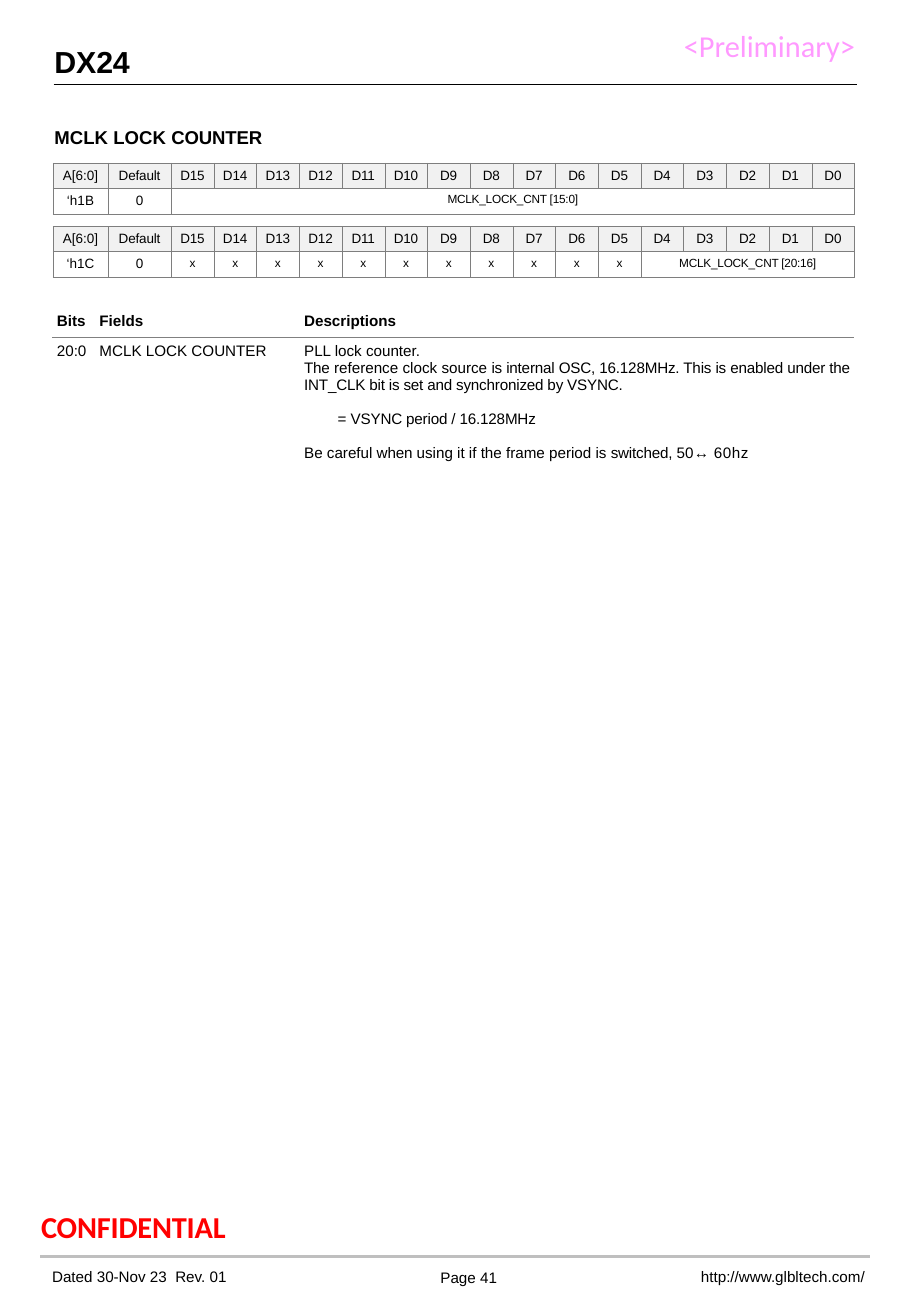
from dataclasses import dataclass
from typing import NamedTuple

from lxml import etree
from pptx import Presentation
from pptx.dml.color import RGBColor
from pptx.enum.shapes import MSO_CONNECTOR
from pptx.enum.text import MSO_ANCHOR, PP_ALIGN
from pptx.oxml.ns import qn
from pptx.util import Cm, Pt

LEFT, CENTER, JUSTIFY = PP_ALIGN.LEFT, PP_ALIGN.CENTER, PP_ALIGN.JUSTIFY
TOP, MIDDLE = MSO_ANCHOR.TOP, MSO_ANCHOR.MIDDLE
STRAIGHT = MSO_CONNECTOR.STRAIGHT


@dataclass(frozen=True)
class Theme:
    sans: str = "Arial"
    stamp: str = "Calibri"
    ink: str = "000000"
    pink: str = "FF99FF"
    red: str = "FF0000"
    head: str = "F1F1F1"
    grid: str = "7E7E7E"
    rule: str = "808080"
    foot: str = "BFBFBF"
    title: float = 18
    topic: float = 11
    body: float = 9
    cell: float = 8
    small: float = 7


THEME = Theme()


class Run(NamedTuple):
    text: str
    track: float = 0


class Para(NamedTuple):
    runs: tuple[Run, ...]
    gap: float = 0
    indent: float = 0


class Label(NamedTuple):
    runs: tuple[Run, ...]
    box: tuple[float, float, float, float]
    size: float = THEME.body
    font: str = THEME.sans
    color: str = THEME.ink
    bold: bool = False
    align: PP_ALIGN = LEFT
    anchor: MSO_ANCHOR = TOP
    pad: tuple[float, float, float, float] = (0, 0, 0, 0)


class Rule(NamedTuple):
    left: float
    right: float
    top: float
    color: str
    width: float


class Field(NamedTuple):
    text: str
    span: int = 1


class Bank(NamedTuple):
    top: float
    code: str
    fields: tuple[Field, ...]


FOOT_PAD = (0.25, 0.13, 0.25, 0.13)
LABELS = (
    Label((Run("DX24", -0.1),), (1.12, 0.84, 2.5, 0.84), size=THEME.title, bold=True, pad=(0.02, 0.07, 0, 0)),
    Label((Run("MCLK LOCK "), Run("COUNTER", -0.1)), (1.12, 2.57, 16.76, 0.51),
          size=THEME.topic, bold=True, pad=(0.02, 0.06, 0, 0)),
    Label((Run("CONFIDENTIAL", -0.1),), (0.84, 25.2, 5.77, 0.81), size=THEME.title,
          font=THEME.stamp, color=THEME.red, bold=True, pad=(0.02, 0.06, 0, 0)),
    Label((Run("http://www.glbltech.com/"),), (14.3, 26.26, 4.14, 0.86),
          align=CENTER, anchor=MIDDLE, pad=FOOT_PAD),
    Label((Run("Page 41"),), (9.19, 26.52, 1.4, 0.38), pad=(0.02, 0, 0, 0)),
    Label((Run("Dated 30-Nov 23"), Run(" ", 2.5), Run("Rev. 01")), (0.84, 26.44, 5.72, 0.48),
          anchor=MIDDLE, pad=FOOT_PAD),
    Label((Run("<Preliminary>"),), (14.3, 0.56, 4.01, 0.76), size=THEME.title,
          font=THEME.stamp, color=THEME.pink),
)
RULES = (
    Rule(1.12, 17.93, 1.77, THEME.ink, 0.5),
    Rule(0.84, 18.19, 26.27, THEME.foot, 2.04),
)
BANKS = (
    Bank(3.41, "‘h1B", (Field("MCLK_LOCK_CNT [15:0]", 16),)),
    Bank(4.73, "‘h1C", (Field("x"),) * 11 + (Field("MCLK_LOCK_CNT [20:16]", 5),)),
)
BITS = 16
NOTES = (
    Para((Run("PLL lock counter."),)),
    Para((Run("The ", -0.1), Run("reference clock source "),
          Run("is internal OSC, 16.128MHz. This is enabled under the INT_CLK bit is set"
              " and synchronized by VSYNC.", -0.1))),
    Para((Run("= "), Run("VSYNC period ", -0.1), Run("/"), Run(" 16.128MHz", -0.1)), 10.2, 0.7),
    Para((Run("Be careful "), Run("when", -0.1), Run(" using it if the frame period is "),
          Run("switched, ", -0.1), Run("50↔", 0.1), Run(" 60hz", 0.3)), 10.2),
)


def write(para, text: str, *, size: float = THEME.body, font: str = THEME.sans,
          color: str = THEME.ink, bold: bool = False, align: PP_ALIGN = LEFT,
          track: float = 0) -> None:
    para.alignment = align
    run = para.add_run()
    run.text = text
    run.font.size = Pt(size)
    run.font.name = font
    run.font.bold = bold
    run.font.color.rgb = RGBColor.from_string(color)
    if track:
        run.font._element.set("spc", str(round(track * 100)))


def inset(item, pad: tuple[float, float, float, float]) -> None:
    item.margin_left, item.margin_top, item.margin_right, item.margin_bottom = map(Cm, pad)


def draw_label(slide, label: Label) -> None:
    frame = slide.shapes.add_textbox(*map(Cm, label.box)).text_frame
    frame.word_wrap = True
    frame.vertical_anchor = label.anchor
    inset(frame, label.pad)
    for run in label.runs:
        write(frame.paragraphs[0], run.text, size=label.size, font=label.font,
              color=label.color, bold=label.bold, align=label.align, track=run.track)


def draw_rule(slide, rule: Rule) -> None:
    line = slide.shapes.add_connector(
        STRAIGHT, Cm(rule.left), Cm(rule.top), Cm(rule.right), Cm(rule.top))
    line.line.color.rgb = RGBColor.from_string(rule.color)
    line.line.width = Pt(rule.width)
    etree.SubElement(line._element.spPr, qn("a:effectLst"))


def style_cell(cell, sides: str, color: str, width: float, fill: str = "") -> None:
    props = cell._tc.get_or_add_tcPr()
    for side in "LRTB":
        edge = etree.SubElement(props, qn(f"a:ln{side}"), w=str(Pt(width)))
        if side in sides:
            paint = etree.SubElement(edge, qn("a:solidFill"))
            etree.SubElement(paint, qn("a:srgbClr"), val=color)
        else:
            etree.SubElement(edge, qn("a:noFill"))
    if fill:
        cell.fill.solid()
        cell.fill.fore_color.rgb = RGBColor.from_string(fill)
    else:
        cell.fill.background()


def make_table(slide, left: float, top: float, cols: list[float], rows: list[float]):
    frame = slide.shapes.add_table(
        len(rows), len(cols), Cm(left), Cm(top), Cm(sum(cols)), Cm(sum(rows)))
    table = frame.table
    table.first_row = table.horz_banding = False
    for col, width in zip(table.columns, cols):
        col.width = Cm(width)
    for row, height in zip(table.rows, rows):
        row.height = Cm(height)
    return table


def draw_bank(slide, bank: Bank) -> None:
    table = make_table(slide, 1.11, bank.top, [1.15, 1.32] + [14.3 / BITS] * BITS, [0.53] * 2)
    for index, fill in enumerate((THEME.head, "")):
        for cell in table.rows[index].cells:
            style_cell(cell, "LRTB", THEME.grid, 0.25, fill)
            inset(cell, (0, 0.1, 0, 0))
    heads = ["A[6:0]", "Default"] + [f"D{bit}" for bit in reversed(range(BITS))]
    for col, text in enumerate(heads):
        write(table.cell(0, col).text_frame.paragraphs[0], text,
              size=THEME.cell, align=CENTER, track=-0.1 if col else 0)
    col = 0
    for field in (Field(bank.code), Field("0"), *bank.fields):
        cell = table.cell(1, col)
        if field.span > 1:
            cell.merge(table.cell(1, col + field.span - 1))
        write(cell.text_frame.paragraphs[0], field.text, align=CENTER,
              size=THEME.cell if col < 2 else THEME.small, track=-0.1 if field.span > 1 else 0)
        col += field.span


def draw_notes(slide) -> None:
    table = make_table(slide, 1.09, 6.35, [0.89, 4.28, 11.6], [0.71, 3.25])
    heads = [(Para((Run(text),)),) for text in ("Bits", "Fields", "Descriptions")]
    body = [(Para((Run("20:0"),)),), (Para((Run("MCLK LOCK COUNTER"),)),), NOTES]
    for row, (cells, side) in enumerate(((heads, "B"), (body, "T"))):
        for col, paras in enumerate(cells):
            cell = table.cell(row, col)
            style_cell(cell, side, THEME.rule, 0.5)
            inset(cell, (0.1,) * 4)
            cell.vertical_anchor = TOP if row else MIDDLE
            frame = cell.text_frame
            for index, para in enumerate(paras):
                line = frame.add_paragraph() if index else frame.paragraphs[0]
                if para.gap:
                    line.space_before = Pt(para.gap)
                if para.indent:
                    line._p.get_or_add_pPr().set("marL", str(Cm(para.indent)))
                for run in para.runs:
                    write(line, run.text, bold=not row, track=run.track,
                          align=JUSTIFY if paras is NOTES else LEFT)


def main() -> None:
    deck = Presentation()
    deck.slide_width, deck.slide_height = Cm(19.05), Cm(27.51)
    slide = deck.slides.add_slide(deck.slide_layouts[6])
    for rule in RULES:
        draw_rule(slide, rule)
    for bank in BANKS:
        draw_bank(slide, bank)
    draw_notes(slide)
    for label in LABELS:
        draw_label(slide, label)
    deck.save("out.pptx")


if __name__ == "__main__":
    main()
